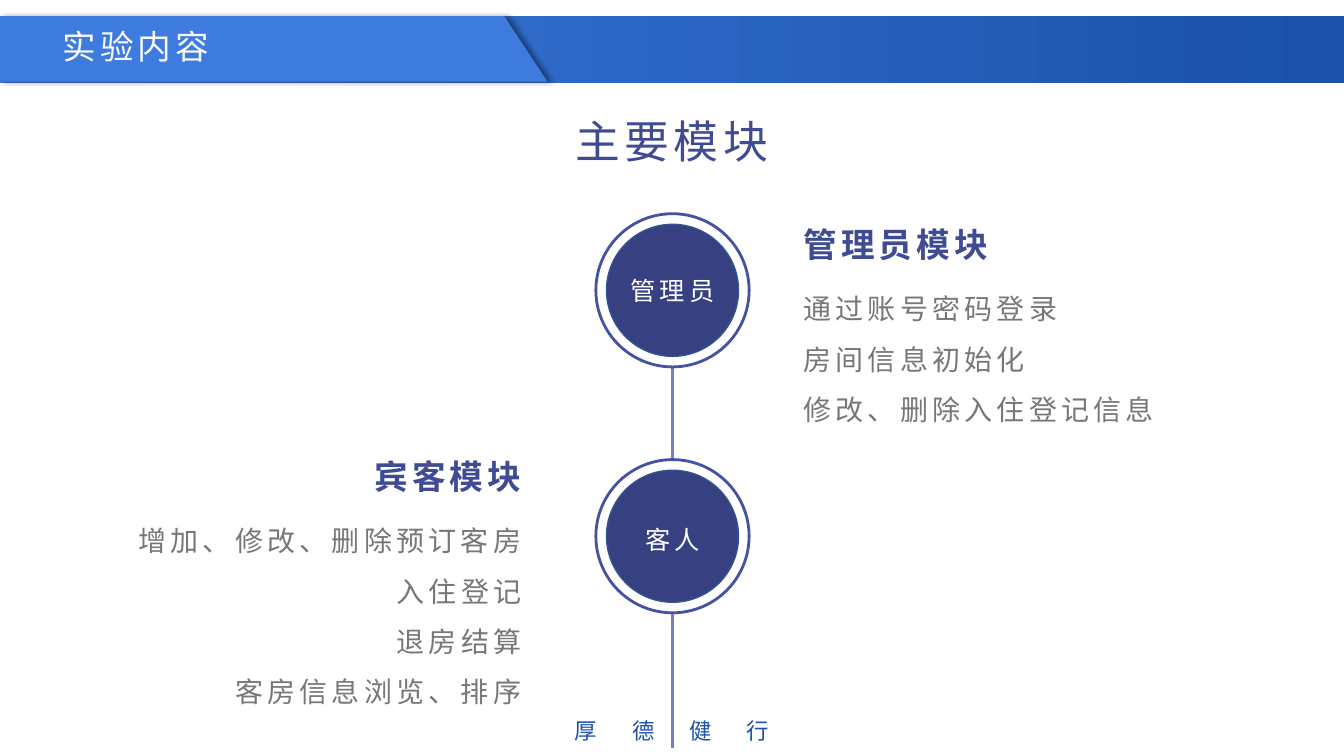
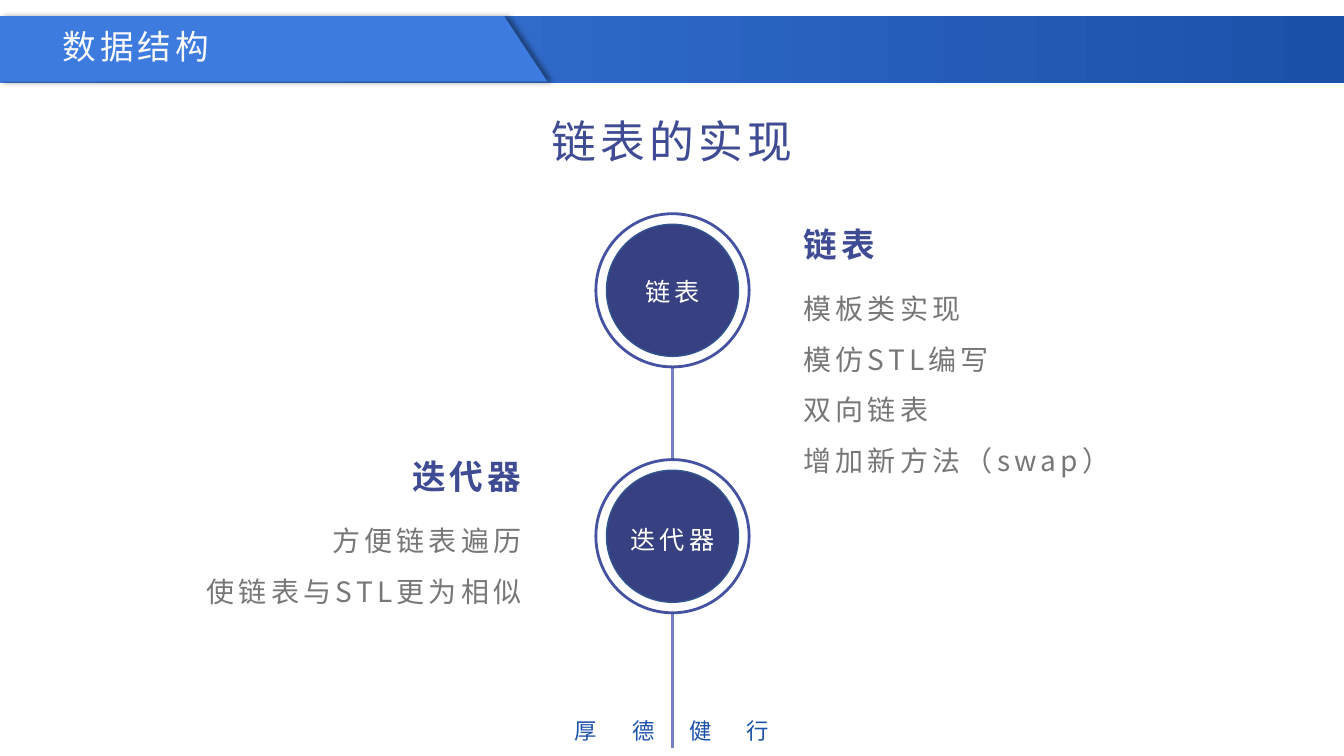
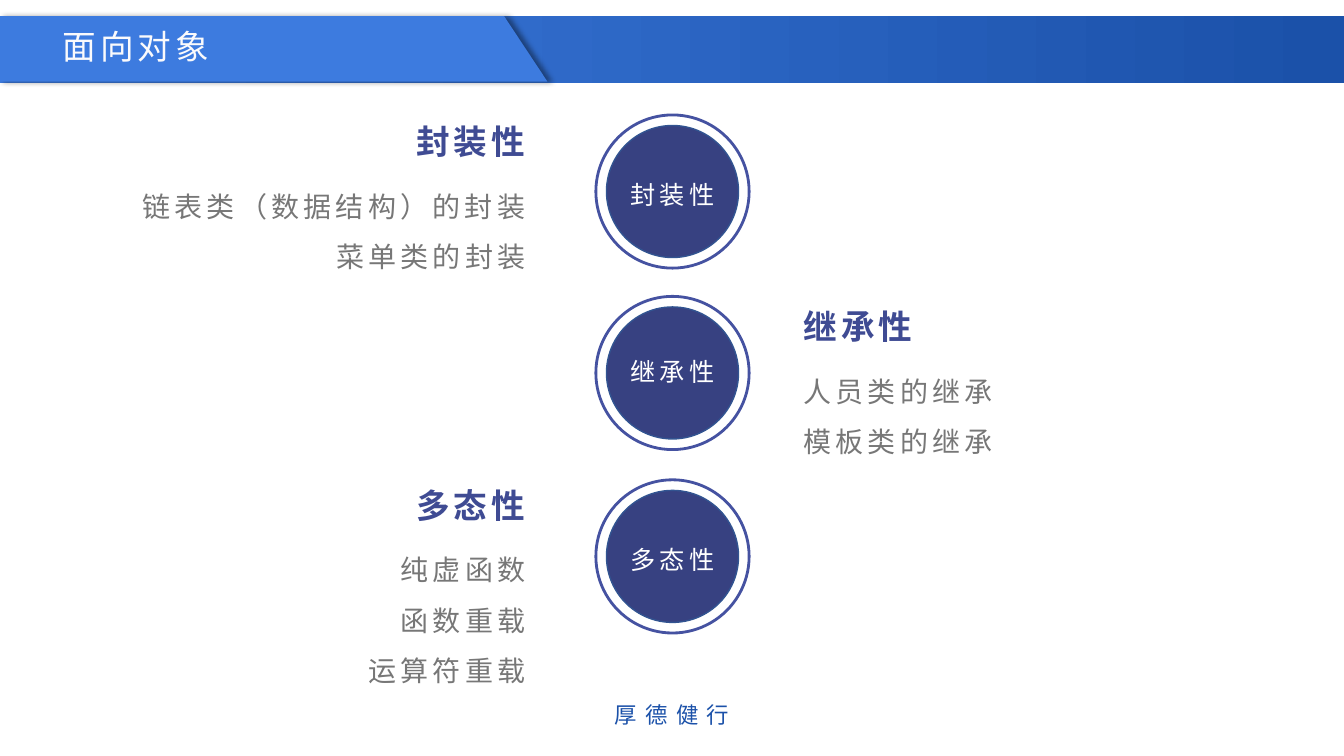
from dataclasses import dataclass
from typing import Any

from lxml import etree
from pptx import Presentation
from pptx import util as u
from pptx.dml.color import RGBColor
from pptx.enum import shapes, text
from pptx.oxml import ns

FONT = "Noto Sans CJK SC"
BLUE, DEEP_BLUE = "3D7BDF", "1B51A9"
INDIGO, RING, DISC, DISC_EDGE = "3F4B93", "4552A1", "374181", "325491"
LINE, GREY, WHITE, PALE = "7580C5", "777777", "FFFFFF", "FAFAFC"
LEFT, CENTER, RIGHT = text.PP_ALIGN.LEFT, text.PP_ALIGN.CENTER, text.PP_ALIGN.RIGHT

RING_SIZE, DISC_SIZE = 1.52, 1.31
CENTER_X = 6.67
HEADING_WIDTH, BODY_WIDTH = 2.8, 4.24
RIGHT_COLUMN = 7.87
BODY_GAP, BODY_LINE, BODY_PADDING = 0.51, 0.5, 0.1


@dataclass(frozen=True)
class Style:
    size: float
    color: str
    bold: bool = False
    align: Any = LEFT
    line_spacing: float = 1.0
    spacing: float = 3
    margin: float | None = None


@dataclass(frozen=True)
class Node:
    label: str
    heading: str
    items: tuple[str, ...]
    ring_top: float
    label_top: float
    heading_top: float
    right_edge: float | None = None


@dataclass(frozen=True)
class Page:
    title: str
    nodes: tuple[Node, ...]
    subtitle: str = ""
    motto: str = "厚 德 健 行"
    motto_top: float = 7.06
    motto_spacing: float = 10.7


PAGES = (
    Page(
        "实验内容",
        (
            Node("管理员", "管理员模块",
                 ("通过账号密码登录", "房间信息初始化", "修改、删除入住登记信息"),
                 2.12, 2.68, 2.17),
            Node("客人", "宾客模块",
                 ("增加、修改、删除预订客房", "入住登记", "退房结算", "客房信息浏览、排序"),
                 4.56, 5.15, 4.47, 5.27),
        ),
        "主要模块",
    ),
    Page(
        "数据结构",
        (
            Node("链表", "链表",
                 ("模板类实现", "模仿STL编写", "双向链表", "增加新方法（swap）"),
                 2.12, 2.69, 2.17),
            Node("迭代器", "迭代器", ("方便链表遍历", "使链表与STL更为相似"),
                 4.56, 5.15, 4.47, 5.27),
        ),
        "链表的实现",
    ),
    Page(
        "面向对象",
        (
            Node("封装性", "封装性", ("链表类（数据结构）的封装", "菜单类的封装"),
                 1.14, 1.73, 1.15, 5.31),
            Node("继承性", "继承性", ("人员类的继承", "模板类的继承"),
                 2.94, 3.49, 2.99),
            Node("多态性", "多态性", ("纯虚函数", "函数重载", "运算符重载"),
                 4.76, 5.35, 4.76, 5.31),
        ),
        motto="厚德健行",
        motto_top=6.9,
        motto_spacing=6,
    ),
)


def rgb(value: str) -> RGBColor:
    return RGBColor.from_string(value)


def apply(target: Any, values: dict[str, Any]) -> None:
    for name, value in values.items():
        setattr(target, name, value)


def add_text(slide: Any, left: float, top: float, width: float, height: float,
             lines: tuple[str, ...], style: Style) -> None:
    box = slide.shapes.add_textbox(*map(u.Inches, (left, top, width, height)))
    frame = box.text_frame
    apply(frame, {"word_wrap": True, "auto_size": text.MSO_AUTO_SIZE.SHAPE_TO_FIT_TEXT})
    if style.margin is not None:
        sides = ("left", "top", "right", "bottom")
        apply(frame, {f"margin_{side}": u.Inches(style.margin) for side in sides})
    for index, line in enumerate(lines):
        paragraph = frame.add_paragraph() if index else frame.paragraphs[0]
        apply(paragraph, {"alignment": style.align, "line_spacing": style.line_spacing})
        run = paragraph.add_run()
        run.text = line
        apply(run.font, {"name": FONT, "size": u.Pt(style.size), "bold": style.bold})
        run.font.color.rgb = rgb(style.color)
        properties = run._r.get_or_add_rPr()
        properties.set("spc", str(round(style.spacing * 100)))
        etree.SubElement(properties, ns.qn("a:ea"), typeface=FONT)


def add_circle(slide: Any, top: float, size: float, fill: str, line: str, weight: float) -> None:
    circle = slide.shapes.add_shape(
        shapes.MSO_SHAPE.OVAL,
        *map(u.Inches, (CENTER_X - size / 2, top, size, size)))
    circle.shadow.inherit = False
    circle.fill.solid()
    circle.fill.fore_color.rgb = rgb(fill)
    circle.line.color.rgb = rgb(line)
    circle.line.width = u.Pt(weight)


def add_shadow(shape: Any) -> None:
    shape.shadow.inherit = False
    effects = shape._element.spPr.find(ns.qn("a:effectLst"))
    shadow = etree.SubElement(effects, ns.qn("a:outerShdw"), blurRad=str(u.Pt(4)),
                              dist=str(u.Pt(3)), dir="0", algn="l", rotWithShape="0")
    color = etree.SubElement(shadow, ns.qn("a:srgbClr"), val="000000")
    etree.SubElement(color, ns.qn("a:alpha"), val="40000")


def add_header(slide: Any, title: str) -> None:
    band = slide.shapes.add_shape(
        shapes.MSO_SHAPE.RECTANGLE, *map(u.Inches, (-0.01, 0.16, 13.36, 0.66)))
    band.shadow.inherit = False
    band.line.fill.background()
    band.fill.gradient()
    band.fill.gradient_angle = 0
    for stop, color, position in zip(band.fill.gradient_stops, (BLUE, DEEP_BLUE), (0, 0.99)):
        stop.color.rgb = rgb(color)
        stop.position = position

    outline = ((-0.71, 0.81), (5.43, 0.81), (5, 0.16), (-0.01, 0.16), (-0.01, 0.81))
    points = [(u.Inches(x), u.Inches(y)) for x, y in outline]
    builder = slide.shapes.build_freeform(*points[0])
    builder.add_line_segments(points[1:], close=True)
    tab = builder.convert_to_shape()
    tab.fill.solid()
    tab.fill.fore_color.rgb = rgb(BLUE)
    tab.line.fill.background()
    add_shadow(tab)
    add_text(slide, 0.52, 0.21, 4.21, 0.5, (title,), Style(24, PALE))


def add_timeline(slide: Any) -> None:
    line = slide.shapes.add_connector(
        shapes.MSO_CONNECTOR.STRAIGHT, *map(u.Inches, (CENTER_X, 3.64, CENTER_X, 7.42)))
    line.line.color.rgb = rgb(LINE)
    line.line.width = u.Pt(1.75)
    etree.SubElement(line._element.spPr, ns.qn("a:effectLst"))


def add_node(slide: Any, node: Node) -> None:
    inset = (RING_SIZE - DISC_SIZE) / 2
    add_circle(slide, node.ring_top, RING_SIZE, WHITE, RING, 2)
    add_circle(slide, node.ring_top + inset, DISC_SIZE, DISC, DISC_EDGE, 1)
    add_text(slide, CENTER_X - DISC_SIZE / 2, node.label_top, DISC_SIZE, 0.4,
             (node.label,), Style(18, WHITE, align=CENTER))

    on_right = node.right_edge is None
    align = LEFT if on_right else RIGHT
    blocks = (
        (0, HEADING_WIDTH, 0.5, (node.heading,), Style(24, INDIGO, True, align)),
        (BODY_GAP, BODY_WIDTH, BODY_PADDING + BODY_LINE * len(node.items), node.items,
         Style(20, GREY, align=align, line_spacing=1.5)),
    )
    for offset, width, height, lines, style in blocks:
        left = RIGHT_COLUMN if on_right else node.right_edge - width
        add_text(slide, left, node.heading_top + offset, width, height, lines, style)


def add_page(presentation: Any, page: Page) -> None:
    slide = presentation.slides.add_slide(presentation.slide_layouts[6])
    add_header(slide, page.title)
    if page.subtitle:
        add_text(slide, 4.26, 1.08, 4.81, 0.64, (page.subtitle,),
                 Style(32, INDIGO, align=CENTER))
        add_timeline(slide)
    for node in page.nodes:
        add_node(slide, node)
    add_text(slide, 4.76, page.motto_top, 3.81, 0.31, (page.motto,),
             Style(16, DEEP_BLUE, align=CENTER, line_spacing=1.2,
                   spacing=page.motto_spacing, margin=0))


def main() -> None:
    presentation = Presentation()
    apply(presentation, {"slide_width": u.Inches(13.33), "slide_height": u.Inches(7.5)})
    for page in PAGES:
        add_page(presentation, page)
    presentation.save("out.pptx")


if __name__ == "__main__":
    main()
